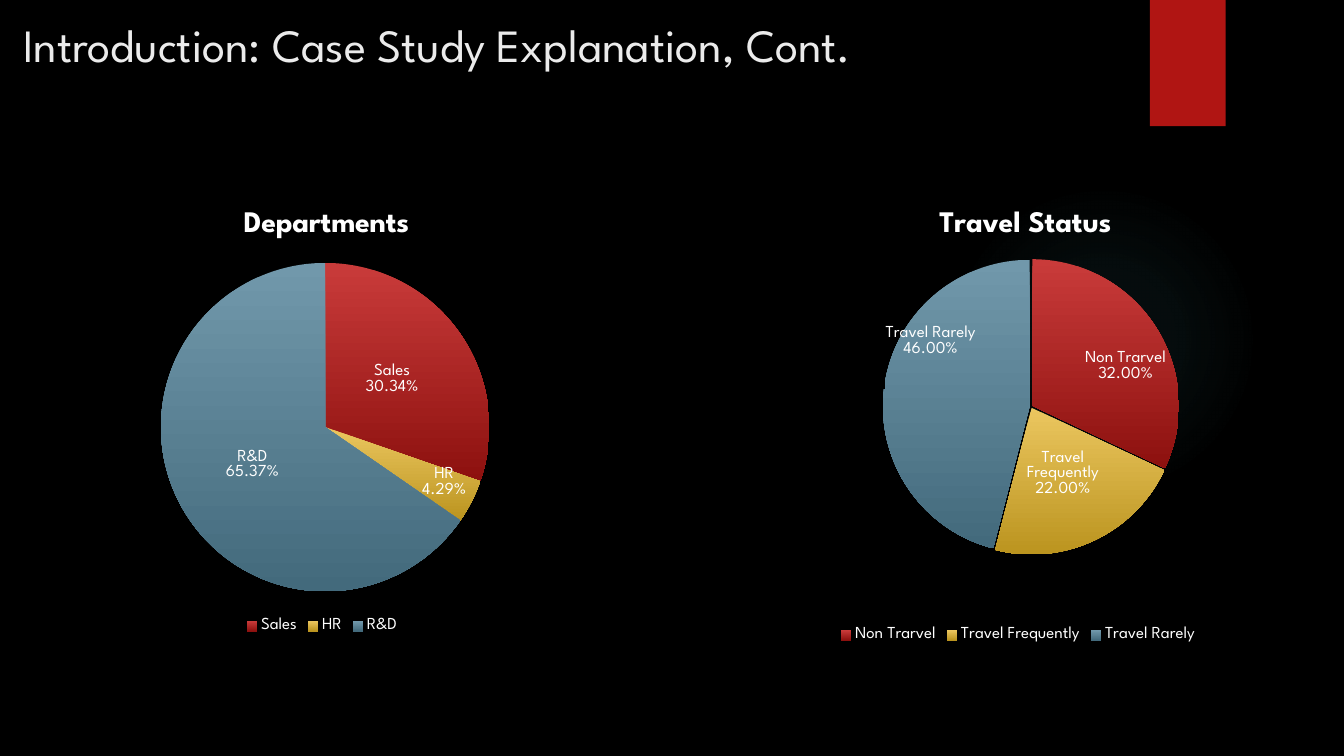
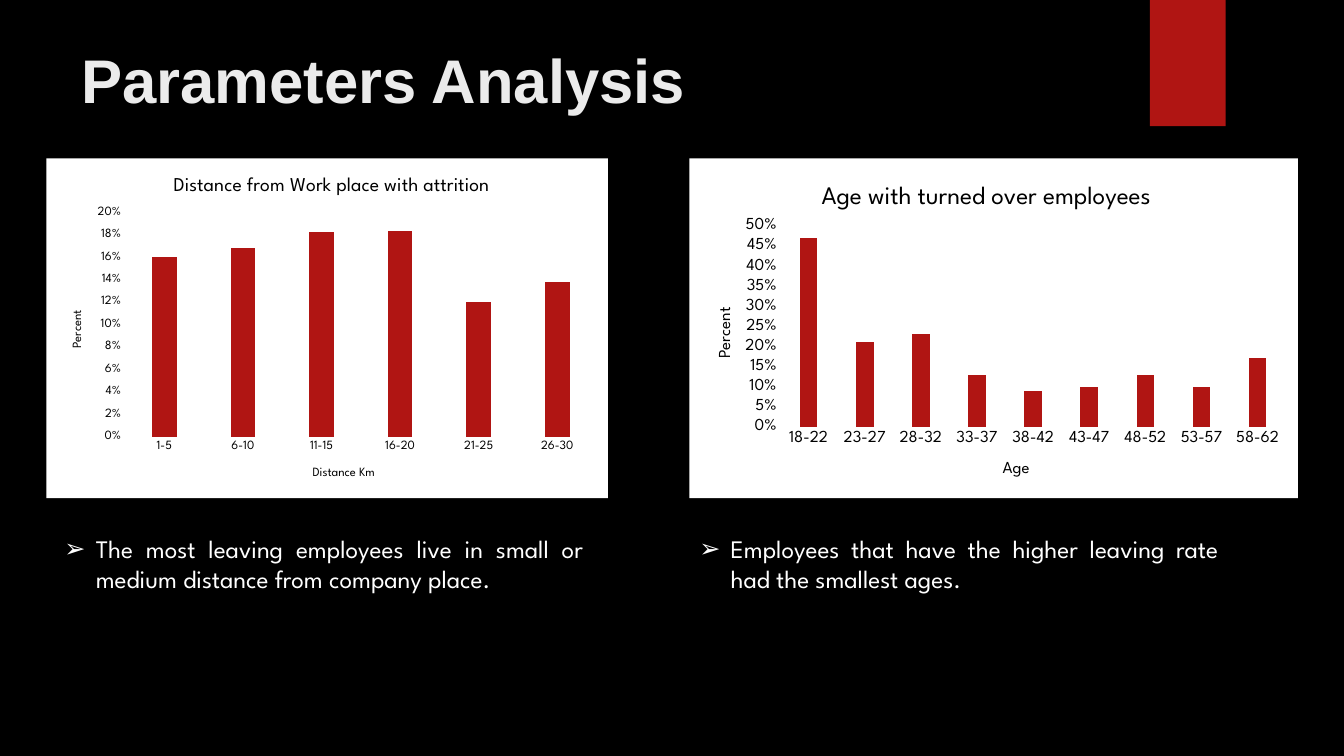
from copy import deepcopy

from lxml.etree import SubElement
from pptx import Presentation
from pptx.chart.data import CategoryChartData
from pptx.dml.color import RGBColor
from pptx.enum.chart import XL_CHART_TYPE as ChartType
from pptx.enum.chart import XL_LABEL_POSITION as LabelPos
from pptx.enum.chart import XL_LEGEND_POSITION as LegendPos
from pptx.enum.chart import XL_TICK_MARK as TickMark
from pptx.enum.shapes import MSO_SHAPE as Preset
from pptx.enum.text import MSO_ANCHOR as Anchor
from pptx.enum.text import MSO_AUTO_SIZE as AutoSize
from pptx.enum.text import PP_ALIGN as Align
from pptx.oxml import parse_xml
from pptx.oxml.ns import nsdecls, qn
from pptx.util import Cm, Pt

# Shared style
FONT = "League Spartan"
BLACK, WHITE, RED, TITLE_GREY, GLOW = "000000", "FFFFFF", "B01513", "EBEBEB", "50B9C1"
SLICE_GRADIENTS = [("C93B3A", "8D110F"), ("EBC65F", "BB941F"), ("7198AB", "436A7C")]
GLOW_STOPS = [(0, 7), (36, 6), (69, 0)]  # position %, opacity %

# Content: boxes are left, top, width, height in cm;
# layouts inside charts are fractions of the chart
TITLES = [
    dict(text="Introduction: Case Study Explanation, Cont.", box=(0.33, 0.43, 27.25, 2.31),
         font=FONT, size=33, bold=False, anchor=Anchor.TOP, spacing=0.9),
    dict(text="Parameters Analysis", box=(1.8, 0.76, 30.91, 2.44),
         font="Arial", size=44, bold=True, anchor=Anchor.MIDDLE, spacing=1.0),
]
PIES = [
    dict(title="Travel Status", series="Series 1", box=(19.05, 4.65, 13.21, 11.66),
         shares={"Non Trarvel": 32, "Travel Frequently": 22, "Travel Rarely": 46},
         title_at=(0.34, 0.04), plot=(0.24, 0.16, 0.57, 0.64), explode=1,
         label_shifts={0: (0.06, 0), 2: (-0.05, -0.12)}, outer_labels=()),
    dict(title="Departments", series="Departments", box=(0, 4.65, 16.23, 11.43),
         shares={"Sales": 30.34, "HR": 4.29, "R&D": 65.37},
         title_at=(0.37, 0.04), plot=(0.25, 0.17, 0.51, 0.73), explode=0,
         label_shifts={}, outer_labels=(1,)),
]
COLUMNS = [
    dict(title="Age with turned over employees", box=(17.37, 3.99, 15.34, 8.56),
         rates={"18-22": 0.47, "23-27": 0.21, "28-32": 0.23, "33-37": 0.13, "38-42": 0.09,
                "43-47": 0.1, "48-52": 0.13, "53-57": 0.1, "58-62": 0.17},
         category="Age", top=0.5, step=0.05, title_size=18, axis_size=12,
         title_at=(0.21, 0.06), plot=(0.15, 0.2, 0.83, 0.59),
         category_at=(0.51, 0.88), percent_at=(0.04, 0.43)),
    dict(title="Distance from Work place with attrition", box=(1.17, 3.99, 14.15, 8.56),
         rates={"1-5": 0.16, "6-10": 0.168, "11-15": 0.183, "16-20": 0.184,
                "21-25": 0.12, "26-30": 0.138},
         category="Distance Km", top=0.2, step=0.02, title_size=14, axis_size=9,
         title_at=(0.22, 0.04), plot=(0.14, 0.16, 0.84, 0.66),
         category_at=(0.47, 0.9), percent_at=(0.04, 0.44)),
]
FINDINGS = [
    ("The most leaving employees live in small or medium distance from company place.",
     (1.37, 13.31, 13.59, 2.57)),
    ("Employees that have the higher leaving rate had the smallest ages.",
     (17.37, 13.31, 13.59, 1.8)),
]


def rgb(color):
    return RGBColor.from_string(color)


def cm(box):
    return [Cm(length) for length in box]


def place(part, box):
    part.left, part.top, part.width, part.height = cm(box)


def style(font, size, color, name=FONT, bold=False):
    font.name, font.size, font.bold = name, Pt(size), bold
    font.color.rgb = rgb(color)


# Theme: background, glow and tab live on the master
def decorate_master(prs, slide):
    master = prs.slide_master
    master.background.fill.solid()
    master.background.fill.fore_color.rgb = rgb(BLACK)
    glow = slide.shapes.add_shape(Preset.OVAL, *cm((23.9, 4.65, 7.82, 7.82)))
    tab = slide.shapes.add_shape(Preset.RECTANGLE, *cm((28.98, 0, 1.91, 3.18)))
    for part in (glow, tab):
        part.shadow.inherit = False
        part.line.fill.background()
        part.fill.solid()
        part.fill.fore_color.rgb = rgb(RED)
    stops = "".join(
        f'<a:gs pos="{pos * 1000}"><a:srgbClr val="{GLOW}"><a:alpha val="{alpha * 1000}"/>'
        f'</a:srgbClr></a:gs>' for pos, alpha in GLOW_STOPS)
    solid = glow.element.spPr.find(qn("a:solidFill"))
    solid.getparent().replace(solid, parse_xml(
        f'<a:gradFill {nsdecls("a")}><a:gsLst>{stops}</a:gsLst><a:path path="circle">'
        '<a:fillToRect l="50000" t="50000" r="50000" b="50000"/></a:path></a:gradFill>'))
    for index, part in enumerate((glow, tab), start=2):
        master.shapes.element.insert(index, part.element)


def set_title(slide, title):
    heading = slide.shapes.title
    place(heading, title["box"])
    frame = heading.text_frame
    frame.text = title["text"]
    frame.auto_size, frame.vertical_anchor = AutoSize.NONE, title["anchor"]
    line = frame.paragraphs[0]
    line.alignment, line.line_spacing = Align.LEFT, title["spacing"]
    style(line.runs[0].font, title["size"], TITLE_GREY, title["font"], title["bold"])


def set_finding(body, text, box):
    place(body, box)
    frame = body.text_frame
    frame.text = text
    frame.auto_size, frame.vertical_anchor = AutoSize.NONE, Anchor.TOP
    line = frame.paragraphs[0]
    line.alignment, line.space_before = Align.JUSTIFY, Pt(0)
    style(line.runs[0].font, 18, WHITE)
    props = line._p.get_or_add_pPr()
    props.set("marL", str(Cm(0.79)))
    props.set("indent", str(-Cm(0.79)))
    SubElement(props, qn("a:buChar"), char="➢")


# Chart helpers
def layout_xml(x, y, w=None, h=None):
    inner = '<c:layoutTarget val="inner"/>' if w else ""
    modes = "" if w is None else '<c:xMode val="edge"/><c:yMode val="edge"/>'
    size = f'<c:w val="{w}"/><c:h val="{h}"/>' if w else ""
    return parse_xml(f'<c:layout {nsdecls("c")}><c:manualLayout>{inner}{modes}'
                     f'<c:x val="{x}"/><c:y val="{y}"/>{size}</c:manualLayout></c:layout>')


def set_layout(parent, *spot):
    for old in parent.findall(qn("c:layout")):
        parent.remove(old)
    text = parent.find(qn("c:tx"))
    parent.insert(0 if text is None else parent.index(text) + 1,
                  layout_xml(*spot) if len(spot) == 4 else layout_xml(*spot, 0, 0))


def set_chart_text(title, text, spot, size, color, bold=False):
    title.text_frame.text = text
    style(title.text_frame.paragraphs[0].runs[0].font, size, color, bold=bold)
    set_layout(title._element, *spot)


def add_chart(slide, kind, spec, series, values, color, area, title_size, bold):
    data = CategoryChartData()
    data.categories = list(values)
    data.add_series(series, list(values.values()))
    chart = slide.shapes.add_chart(kind, *cm(spec["box"]), data).chart
    style(chart.font, 10, color)
    chart.has_title = True
    set_chart_text(chart.chart_title, spec["title"], spec["title_at"], title_size, color, bold)
    space = chart.element.find(qn("c:chart"))
    set_layout(space.find(qn("c:plotArea")), *spec["plot"])
    space.addnext(parse_xml(
        f'<c:spPr {nsdecls("c", "a")}>{area}<a:ln><a:noFill/></a:ln></c:spPr>'))
    return chart


def add_pie(slide, spec):
    chart = add_chart(slide, ChartType.PIE, spec, spec["series"], spec["shares"],
                      WHITE, "<a:noFill/>", 21.3, True)
    chart.has_legend = True
    chart.legend.position, chart.legend.include_in_layout = LegendPos.BOTTOM, False
    style(chart.legend.font, 12, WHITE)
    plot = chart.plots[0]
    plot.vary_by_categories = True
    series = plot.series[0]
    for index, colors in enumerate(SLICE_GRADIENTS):
        fill = series.points[index].format.fill
        fill.gradient()
        fill.gradient_angle = 270
        for stop, color in zip(fill.gradient_stops, colors):
            stop.color.rgb = rgb(color)
    if spec["explode"]:
        series._element.find(qn("c:dPt")).addprevious(
            parse_xml(f'<c:explosion {nsdecls("c")} val="{spec["explode"]}"/>'))

    # Name above percentage, then one label per slice with its own place
    labels = series.data_labels
    labels.show_value, labels.show_category_name, labels.show_percentage = False, True, True
    labels.number_format, labels.number_format_is_linked = "0.00%", False
    labels.position = LabelPos.CENTER
    style(labels.font, 12, WHITE)
    group = labels._element
    separator = parse_xml(f'<c:separator {nsdecls("c")}>\n</c:separator>')
    group.find(qn("c:showBubbleSize")).addnext(separator)
    shared = [part for part in group if part.tag != qn("c:showLeaderLines")]
    for index in range(len(spec["shares"])):
        label = parse_xml(f'<c:dLbl {nsdecls("c")}><c:idx val="{index}"/></c:dLbl>')
        if index in spec["label_shifts"]:
            label.append(layout_xml(*spec["label_shifts"][index]))
        label.extend(deepcopy(part) for part in shared)
        if index in spec["outer_labels"]:
            label.find(qn("c:dLblPos")).set("val", "inEnd")
        group.insert(index, label)


def add_columns(slide, spec):
    white_area = f'<a:solidFill><a:srgbClr val="{WHITE}"/></a:solidFill>'
    chart = add_chart(slide, ChartType.COLUMN_CLUSTERED, spec, "Series 1", spec["rates"],
                      BLACK, white_area, spec["title_size"], False)
    chart.has_legend = False
    plot = chart.plots[0]
    plot.vary_by_categories, plot.gap_width, plot.overlap = False, 219, -27
    bars = plot.series[0].format.fill
    bars.solid()
    bars.fore_color.rgb = rgb(RED)

    ages, percent = chart.category_axis, chart.value_axis
    for axis, text, spot in ((ages, spec["category"], spec["category_at"]),
                             (percent, "Percent", spec["percent_at"])):
        axis.major_tick_mark = axis.minor_tick_mark = TickMark.NONE
        style(axis.tick_labels.font, spec["axis_size"], BLACK)
        axis.has_title = True
        set_chart_text(axis.axis_title, text, spot, spec["axis_size"], BLACK)
    percent.minimum_scale, percent.maximum_scale = 0, spec["top"]
    percent.major_unit = spec["step"]
    percent.tick_labels.number_format = "0%"
    percent.tick_labels.number_format_is_linked = False
    percent.format.line.fill.background()
    for line in (ages.format.line, percent.major_gridlines.format.line):
        line.color.rgb, line.width = rgb(WHITE), Pt(0.75)


def main():
    prs = Presentation()
    prs.slide_width, prs.slide_height = Cm(33.87), Cm(19.05)
    title_only, two_content = prs.slide_layouts[5], prs.slide_layouts[3]
    introduction = prs.slides.add_slide(title_only)
    analysis = prs.slides.add_slide(two_content)
    decorate_master(prs, introduction)
    for slide, title in zip((introduction, analysis), TITLES):
        set_title(slide, title)
    for pie in PIES:
        add_pie(introduction, pie)
    for columns in COLUMNS:
        add_columns(analysis, columns)
    for index, (text, box) in enumerate(FINDINGS, start=1):
        set_finding(analysis.placeholders[index], text, box)
    prs.save("out.pptx")


if __name__ == "__main__":
    main()
